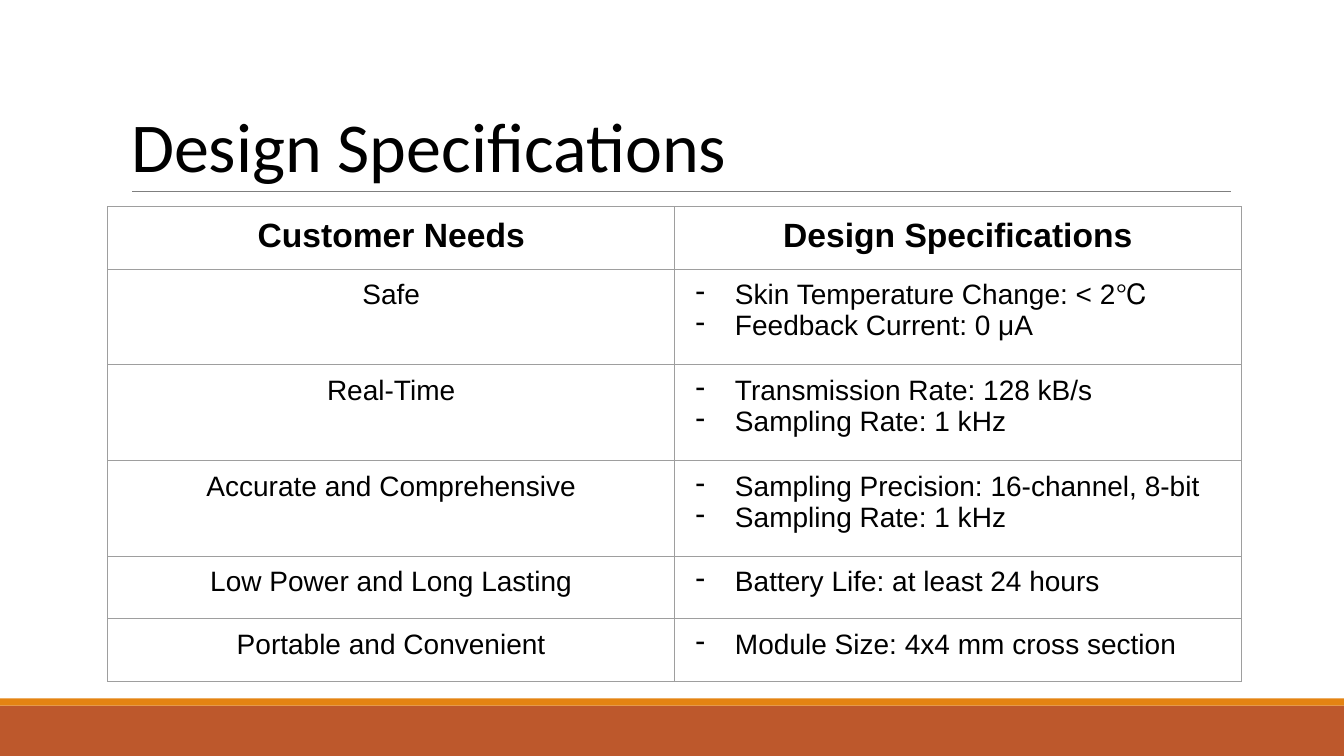
from dataclasses import dataclass

from lxml import etree
from pptx import Presentation
from pptx.dml.color import RGBColor
from pptx.enum.shapes import MSO_CONNECTOR, MSO_SHAPE
from pptx.enum.text import MSO_ANCHOR, MSO_AUTO_SIZE, PP_ALIGN
from pptx.oxml.ns import qn
from pptx.util import Inches, Pt

LEFT, CENTER = PP_ALIGN.LEFT, PP_ALIGN.CENTER
BOTTOM, NO_FIT = MSO_ANCHOR.BOTTOM, MSO_AUTO_SIZE.NONE
RECT, STRAIGHT = MSO_SHAPE.RECTANGLE, MSO_CONNECTOR.STRAIGHT
TITLE_ONLY = 5


@dataclass(frozen=True)
class Theme:
    ink: str = "000000"
    rust: str = "BD582C"
    amber: str = "E48312"
    rule: str = "7F7F7F"
    grid: str = "9E9E9E"
    thin: float = 0.75
    head_font: str = "Calibri"
    body_font: str = "Arial"
    title: int = 50
    header: int = 24
    body: int = 20


THEME = Theme()
HEADS = ("Customer Needs", "Design Specifications")
NEEDS = (
    ("Safe", ("Skin Temperature Change: < 2℃", "Feedback Current: 0 μA")),
    ("Real-Time", ("Transmission Rate: 128 kB/s", "Sampling Rate: 1 kHz")),
    ("Accurate and Comprehensive",
     ("Sampling Precision: 16-channel, 8-bit", "Sampling Rate: 1 kHz")),
    ("Low Power and Long Lasting", ("Battery Life: at least 24 hours",)),
    ("Portable and Convenient", ("Module Size: 4x4 mm cross section",)),
)


def style(item, values):
    for name, value in values.items():
        setattr(item, name, value)


def set_font(para, face, size, bold=False):
    style(para.font, {"name": face, "size": Pt(size), "bold": bold})
    para.font.color.rgb = RGBColor.from_string(THEME.ink)


def add_band(slide, top, height, color):
    band = slide.shapes.add_shape(
        RECT, 0, Inches(top), Inches(13.33), Inches(height))
    band.shadow.inherit = False
    band.fill.solid()
    band.fill.fore_color.rgb = RGBColor.from_string(color)
    band.line.fill.background()


def add_rule(slide, left, right, y):
    rule = slide.shapes.add_connector(
        STRAIGHT, Inches(left), Inches(y), Inches(right), Inches(y))
    rule.line.color.rgb = RGBColor.from_string(THEME.rule)
    rule.line.width = Pt(THEME.thin)
    etree.SubElement(rule._element.spPr, qn("a:effectLst"))


def set_title(slide, text):
    title = slide.shapes.title
    style(title, {"left": Inches(1.2), "top": Inches(0.31),
                  "width": Inches(11), "height": Inches(1.59)})
    frame = title.text_frame
    frame.text = text
    style(frame, {"vertical_anchor": BOTTOM, "auto_size": NO_FIT,
                  "word_wrap": True})
    para = frame.paragraphs[0]
    style(para, {"alignment": LEFT, "line_spacing": 0.85})
    set_font(para, THEME.head_font, THEME.title)


def add_dash(para):
    """Give the paragraph a hanging dash bullet."""
    props = para._p.get_or_add_pPr()
    props.set("marL", str(Inches(0.5)))
    props.set("indent", str(Inches(-0.39)))
    etree.SubElement(props, qn("a:buChar"), char="-")


def add_borders(cell):
    props = cell._tc.get_or_add_tcPr()
    for spot, side in enumerate(("lnL", "lnR", "lnT", "lnB")):
        line = etree.Element(qn(f"a:{side}"), w=str(Pt(THEME.thin)))
        fill = etree.SubElement(line, qn("a:solidFill"))
        etree.SubElement(fill, qn("a:srgbClr"), val=THEME.grid)
        props.insert(spot, line)


def fill_cell(cell, lines, size, bold=False, dashed=False):
    pad = Inches(0.1)
    style(cell, {"margin_left": pad, "margin_right": pad,
                 "margin_top": pad, "margin_bottom": pad})
    cell.fill.background()
    add_borders(cell)
    cell.text_frame.text = "\n".join(lines)
    for para in cell.text_frame.paragraphs:
        if dashed:
            add_dash(para)
        para.alignment = LEFT if dashed else CENTER
        set_font(para, THEME.body_font, size, bold)


def add_specs(slide):
    heights = [0.62] + [0.95 if len(specs) > 1 else 0.62
                        for _, specs in NEEDS]
    table = slide.shapes.add_table(
        len(heights), len(HEADS), Inches(1.07), Inches(2.05),
        Inches(11.24), Inches(sum(heights))).table
    style(table, {"first_row": False, "horz_banding": False})
    for row, height in zip(table.rows, heights):
        row.height = Inches(height)
    for col, head in enumerate(HEADS):
        table.columns[col].width = Inches(5.62)
        fill_cell(table.cell(0, col), [head], THEME.header, bold=True)
    for row, (need, specs) in enumerate(NEEDS, 1):
        fill_cell(table.cell(row, 0), [need], THEME.body)
        fill_cell(table.cell(row, 1), specs, THEME.body, dashed=True)


def main():
    deck = Presentation()
    style(deck, {"slide_width": Inches(13.33), "slide_height": Inches(7.5)})
    slide = deck.slides.add_slide(deck.slide_layouts[TITLE_ONLY])
    add_band(slide, 7, 0.5, THEME.rust)
    add_band(slide, 6.93, 0.07, THEME.amber)
    add_rule(slide, 1.31, 12.21, 1.9)
    set_title(slide, HEADS[1])
    add_specs(slide)
    deck.save("out.pptx")


if __name__ == "__main__":
    main()
